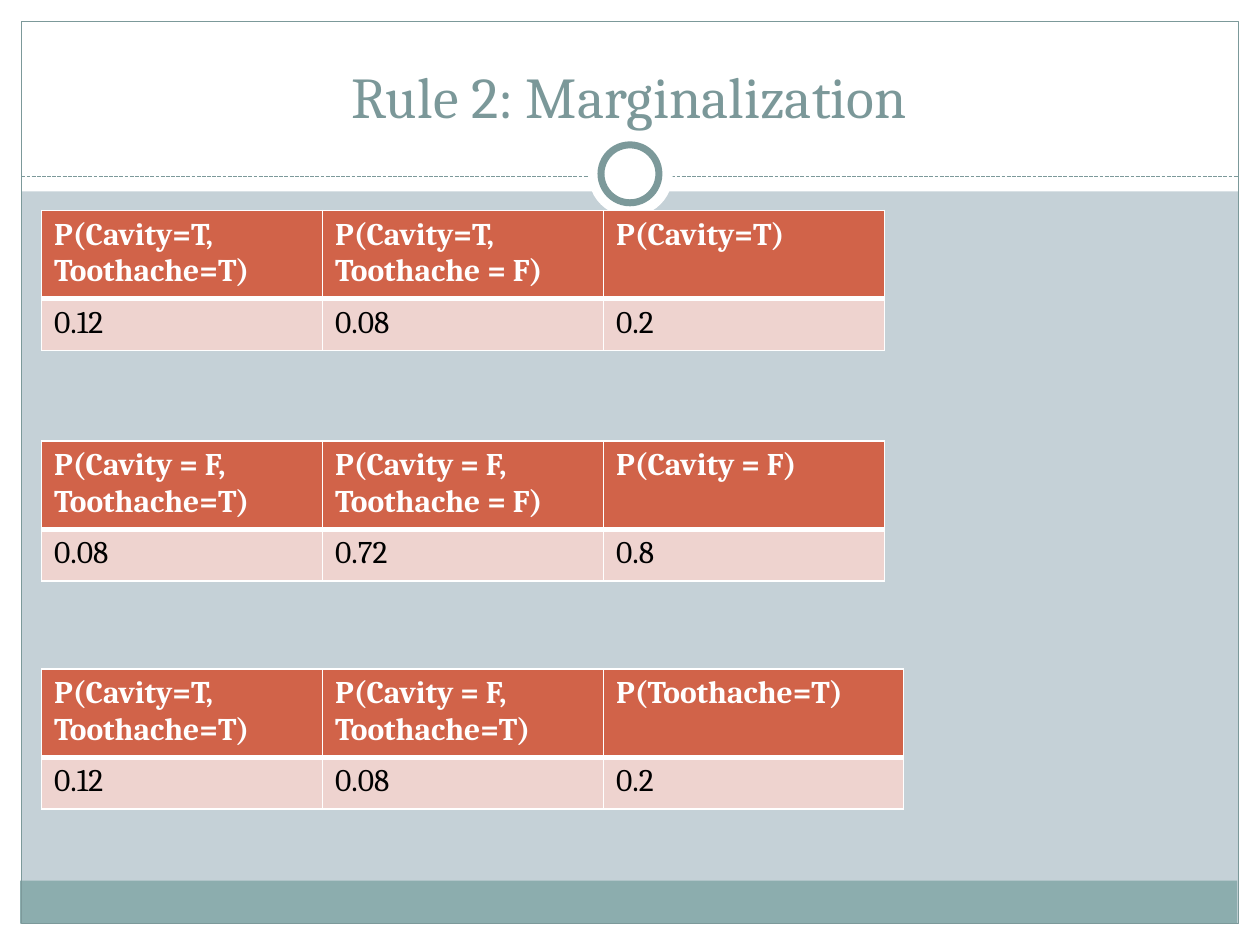
import pptx
import pptx.dml.color
import pptx.enum.dml
import pptx.enum.shapes
import pptx.enum.text
import pptx.oxml
import pptx.oxml.ns
import pptx.util
from pptx.util import Inches

FONT = "Cambria"
WHITE = "FFFFFF"
SLATE = "7C999A"
SHAPES = pptx.enum.shapes.MSO_SHAPE


def colour(value):
    """Turn a hex string into a colour."""
    return pptx.dml.color.RGBColor.from_string(value)


def write_text(frame, text, size=18, ink="000000", bold=False, align=None):
    """Write one formatted paragraph into a text frame."""
    para = frame.paragraphs[0]
    para.alignment = align
    span = para.add_run()
    span.text = text
    span.font.name = FONT
    span.font.size = pptx.util.Pt(size)
    span.font.bold = bold
    span.font.color.rgb = colour(ink)


def add_panel(page, kind, place, fill=None, line=None, width=0.75):
    """Add a preset shape with an optional fill and outline."""
    panel = page.shapes.add_shape(kind, *map(Inches, place))
    panel.shadow.inherit = False
    if fill:
        panel.fill.solid()
        panel.fill.fore_color.rgb = colour(fill)
    else:
        panel.fill.background()
    if line:
        panel.line.color.rgb = colour(line)
        panel.line.width = pptx.util.Pt(width)
    else:
        panel.line.fill.background()


def add_divider(page, left, right, top):
    """Add the dashed horizontal line under the title."""
    divider = page.shapes.add_connector(
        pptx.enum.shapes.MSO_CONNECTOR.STRAIGHT,
        Inches(left), Inches(top), Inches(right), Inches(top))
    divider.line.color.rgb = colour(SLATE)
    divider.line.width = pptx.util.Pt(0.75)
    divider.line.dash_style = pptx.enum.dml.MSO_LINE.SQUARE_DOT
    properties = divider._element.spPr
    properties.append(pptx.oxml.parse_xml(
        f"<a:effectLst {pptx.oxml.ns.nsdecls('a')}/>"))


def add_frame(page):
    """Add the margins, footer band, outline, divider and ring."""
    margins = [(0, 7.33, 10, 0.17), (0, 0, 10, 1.52),
               (0, 0, 0.17, 7.5), (9.83, 0, 0.17, 7.5)]
    for place in margins:
        add_panel(page, SHAPES.RECTANGLE, place, WHITE)
    add_panel(page, SHAPES.RECTANGLE, (0.16, 6.99, 9.66, 0.34), "8CADAE")
    add_panel(page, SHAPES.RECTANGLE, (0.17, 0.17, 9.66, 7.16), line=SLATE)
    add_divider(page, 0.17, 9.83, 1.4)
    add_panel(page, SHAPES.OVAL, (4.67, 1.05, 0.67, 0.67), WHITE)
    add_panel(page, SHAPES.OVAL, (4.77, 1.15, 0.46, 0.46), WHITE, SLATE, 4)


def set_title(page, text):
    """Place and format the title in front of the frame."""
    title = page.shapes.title
    title.left, title.top = Inches(0.33), Inches(0.25)
    title.width, title.height = Inches(9.33), Inches(0.83)
    frame = title.text_frame
    frame.vertical_anchor = pptx.enum.text.MSO_ANCHOR.BOTTOM
    frame.auto_size = pptx.enum.text.MSO_AUTO_SIZE.NONE
    write_text(frame, text, size=33, ink="7B9899",
               align=pptx.enum.text.PP_ALIGN.CENTER)
    title.element.getparent().append(title.element)


def set_borders(cell, **widths):
    """Draw white cell borders of the given widths in points."""
    properties = cell._tc.get_or_add_tcPr()
    for side, width in widths.items():
        properties.append(pptx.oxml.parse_xml(
            f"<a:ln{side} {pptx.oxml.ns.nsdecls('a')} w='{pptx.util.Pt(width)}'>"
            f"<a:solidFill><a:srgbClr val='{WHITE}'/></a:solidFill></a:ln{side}>"))


def fill_cell(cell, text, is_header):
    """Write and format a header cell or a value cell."""
    if is_header:
        set_borders(cell, L=1, R=1, T=1, B=3)
    else:
        set_borders(cell, L=1, R=1, T=3, B=1)
    cell.fill.solid()
    cell.fill.fore_color.rgb = colour("D16349" if is_header else "EED3CF")
    write_text(cell.text_frame, text, ink=WHITE if is_header else "000000",
               bold=is_header)


def add_probability_table(page, top, headers, values, last_width=2.23):
    """Add a table of probabilities under their headers."""
    widths = [2.23, 2.23, last_width]
    table = page.shapes.add_table(
        2, 3, Inches(0.33), Inches(top), Inches(sum(widths)), Inches(1.11)).table
    for column, width in zip(table.columns, widths):
        column.width = Inches(width)
    for row, height in zip(table.rows, (0.7, 0.41)):
        row.height = Inches(height)
    for row, texts in enumerate((headers, values)):
        for column, text in enumerate(texts):
            fill_cell(table.cell(row, column), text, is_header=row == 0)


def main():
    """Build the slide and save it."""
    deck = pptx.Presentation()
    deck.slide_width, deck.slide_height = Inches(10), Inches(7.5)
    page = deck.slides.add_slide(deck.slide_layouts[5])
    page.background.fill.solid()
    page.background.fill.fore_color.rgb = colour("C5D1D7")
    add_frame(page)
    set_title(page, "Rule 2: Marginalization")
    add_probability_table(
        page, 1.67,
        ["P(Cavity=T, Toothache=T)", "P(Cavity=T, Toothache = F)", "P(Cavity=T)"],
        ["0.12", "0.08", "0.2"])
    add_probability_table(
        page, 5.31,
        ["P(Cavity=T, Toothache=T)", "P(Cavity = F, Toothache=T)", "P(Toothache=T)"],
        ["0.12", "0.08", "0.2"], last_width=2.38)
    add_probability_table(
        page, 3.5,
        ["P(Cavity = F, Toothache=T)", "P(Cavity = F, Toothache = F)", "P(Cavity = F)"],
        ["0.08", "0.72", "0.8"])
    deck.save("out.pptx")


if __name__ == "__main__":
    main()
